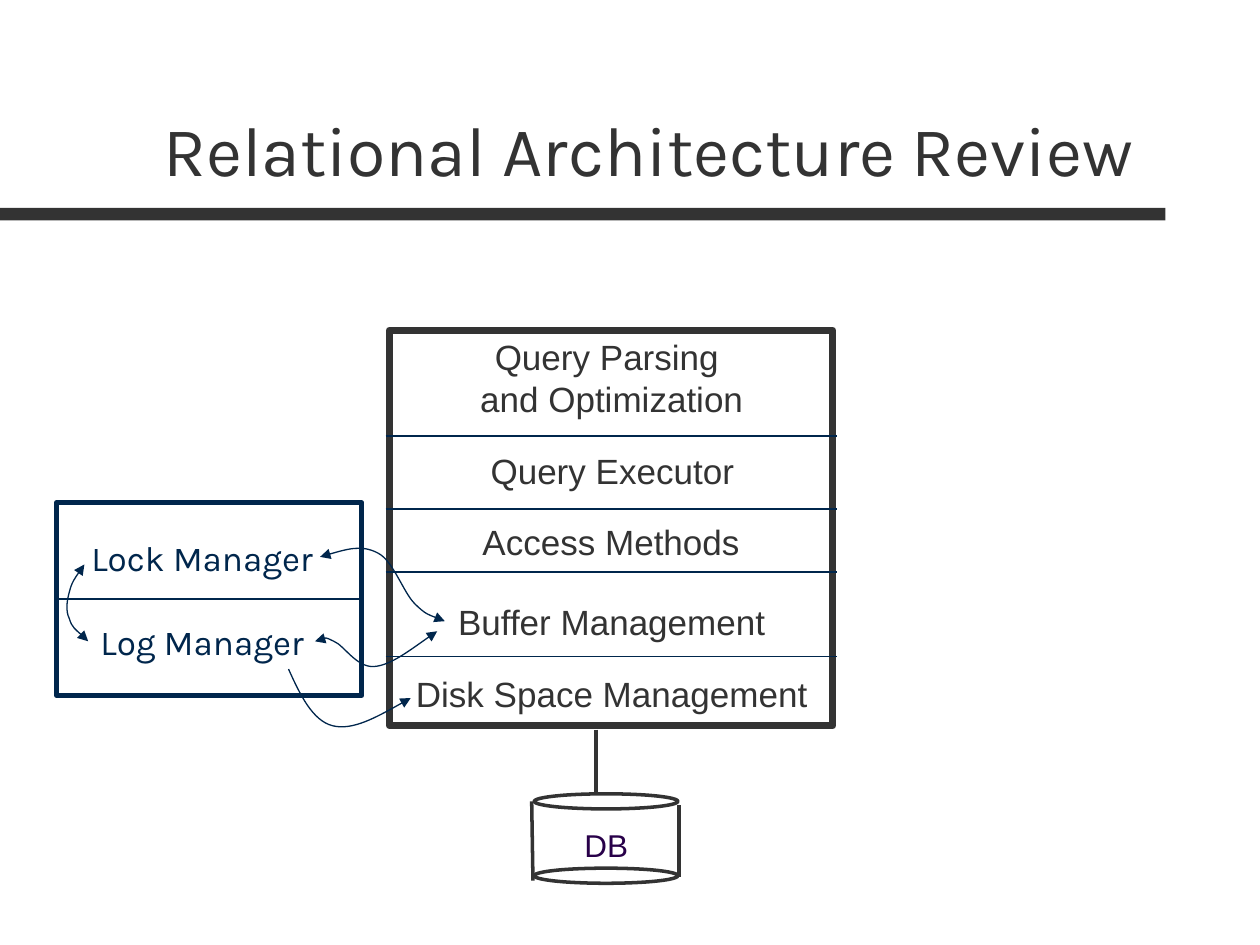
from typing import NamedTuple

from lxml.etree import SubElement
from pptx import Presentation
from pptx.dml.color import RGBColor
from pptx.enum.shapes import MSO_CONNECTOR, MSO_SHAPE
from pptx.enum.text import MSO_ANCHOR, PP_ALIGN
from pptx.oxml.ns import qn
from pptx.util import Inches, Pt

GRAY = RGBColor(0x33, 0x33, 0x33)
NAVY = RGBColor(0x00, 0x26, 0x4C)
PLUM = RGBColor(0x28, 0x00, 0x49)

Point = tuple[float, float]


class Box(NamedTuple):
    left: float
    top: float
    width: float
    height: float


class Label(NamedTuple):
    lines: list[str]
    box: Box
    size: int = 20
    font: str = "Arial"
    color: RGBColor = GRAY
    align: PP_ALIGN = PP_ALIGN.CENTER
    anchor: MSO_ANCHOR = MSO_ANCHOR.TOP
    wrap: bool = False
    gap: int = 0


class Curve(NamedTuple):
    """A start point, then three points for each Bezier segment."""
    points: list[Point]
    both: bool = True


LAYERS = [
    Label(["Query Parsing \nand Optimization"], Box(3.71, 2.61, 2.29, 0.77)),
    Label(["Query Executor"], Box(3.79, 3.52, 2.14, 0.43)),
    Label(["Access Methods"], Box(3.73, 4.08, 2.24, 0.43)),
    Label(["Buffer Management"], Box(3.53, 4.72, 2.65, 0.43)),
    Label(["Disk Space Management"], Box(3.2, 5.29, 3.31, 0.43)),
]
SPLITS = [3.46, 4.04, 4.54, 5.21]
TITLE = Label(["Relational Architecture Review"], Box(1.2, 0.31, 8.5, 1.25), 40, "Karla",
              align=PP_ALIGN.LEFT, anchor=MSO_ANCHOR.BOTTOM, wrap=True)
STORE = Label(["DB"], Box(4.54, 6.51, 0.55, 0.4), 18, color=PLUM, align=PP_ALIGN.LEFT)
MANAGERS = Label(["Lock Manager", "Log Manager"], Box(0.58, 4.21, 2.05, 1.1), 20, "Karla",
                 NAVY, gap=24)
CURVES = [
    # Lock manager and buffer
    Curve([(3.53, 4.93), (3.46, 4.9), (3.38, 4.88), (3.29, 4.79), (3.2, 4.7),
           (3.12, 4.45), (3, 4.39), (2.87, 4.32), (2.71, 4.37), (2.54, 4.42)]),
    # Log manager and buffer
    Curve([(3.47, 5.01), (3.28, 5.14), (3.1, 5.28), (2.97, 5.29), (2.83, 5.3),
           (2.73, 5.12), (2.65, 5.09), (2.57, 5.05), (2.53, 5.07), (2.5, 5.09)]),
    # Lock manager and log manager
    Curve([(0.67, 4.48), (0.62, 4.55), (0.57, 4.62), (0.55, 4.7), (0.53, 4.77),
           (0.52, 4.85), (0.55, 4.91), (0.57, 4.98), (0.64, 5.03), (0.7, 5.09)]),
    # Log manager to disk
    Curve([(2.29, 5.31), (2.38, 5.51), (2.48, 5.72), (2.64, 5.76), (2.8, 5.8),
           (3.03, 5.67), (3.26, 5.54)], both=False),
]


def add_label(shapes, label: Label):
    item = shapes.add_textbox(*map(Inches, label.box))
    frame = item.text_frame
    frame.word_wrap = label.wrap
    frame.vertical_anchor = label.anchor
    for i, line in enumerate(label.lines):
        para = frame.add_paragraph() if i else frame.paragraphs[0]
        para.text = line
        para.alignment = label.align
        if i:
            para.space_before = Pt(label.gap)
        para.font.size = Pt(label.size)
        para.font.name = label.font
        para.font.color.rgb = label.color
    return item


def add_frame(shapes, kind: MSO_SHAPE, box: Box, color: RGBColor, width: float):
    item = shapes.add_shape(kind, *map(Inches, box))
    item.shadow.inherit = False
    item.fill.background()
    item.line.color.rgb = color
    item.line.width = Pt(width)
    return item


def add_line(shapes, start: Point, end: Point, color: RGBColor, width: float):
    item = shapes.add_connector(MSO_CONNECTOR.STRAIGHT, *map(Inches, start + end))
    item.line.color.rgb = color
    item.line.width = Pt(width)
    SubElement(item._element.spPr, qn("a:effectLst"))
    return item


def add_curve(shapes, curve: Curve):
    start, *rest = [(Inches(x), Inches(y)) for x, y in curve.points]
    pen = shapes.build_freeform(*start)
    pen.add_line_segments(rest, close=False)
    item = pen.convert_to_shape()
    item.shadow.inherit = False
    item.fill.background()
    item.line.color.rgb = NAVY
    item.line.width = Pt(0.75)
    # Turn each three line steps into one Bezier segment
    steps = list(item._element.iter(qn("a:lnTo")))
    trace = steps[0].getparent()
    for i in range(0, len(steps), 3):
        bend = SubElement(trace, qn("a:cubicBezTo"))
        for step in steps[i:i + 3]:
            bend.append(step[0])
            trace.remove(step)
    # Arrowheads
    ends = ["a:headEnd", "a:tailEnd"] if curve.both else ["a:tailEnd"]
    for end in ends:
        SubElement(item.line._get_or_add_ln(), qn(end), type="triangle")
    return item


def main() -> None:
    deck = Presentation()
    deck.slide_width, deck.slide_height = Inches(10), Inches(7.5)
    shapes = deck.slides.add_slide(deck.slide_layouts[6]).shapes

    # Title and its bar
    bar = shapes.add_shape(MSO_SHAPE.RECTANGLE, *map(Inches, Box(0, 1.65, 9.25, 0.1)))
    bar.shadow.inherit = False
    bar.fill.solid()
    bar.fill.fore_color.rgb = GRAY
    bar.line.fill.background()
    add_label(shapes, TITLE)

    # Layer stack
    for layer in LAYERS:
        add_label(shapes, layer)
    add_frame(shapes, MSO_SHAPE.RECTANGLE, Box(3.09, 2.62, 3.52, 3.14), GRAY, 4)
    for y in SPLITS:
        add_line(shapes, (3.06, y), (6.64, y), NAVY, 1)

    # Database drum
    for y in (6.3, 6.89):
        add_frame(shapes, MSO_SHAPE.OVAL, Box(4.24, y, 1.14, 0.12), GRAY, 2)
    add_line(shapes, (4.22, 6.36), (4.23, 6.99), GRAY, 2)
    add_line(shapes, (5.39, 6.39), (5.39, 6.96), GRAY, 2)
    add_label(shapes, STORE)
    add_line(shapes, (4.73, 5.79), (4.73, 6.29), GRAY, 2)

    # Lock and log managers
    group = shapes.add_group_shape().shapes
    panel = add_frame(group, MSO_SHAPE.RECTANGLE, Box(0.45, 3.99, 2.42, 1.53), NAVY, 3)
    split = add_line(group, (0.45, 4.76), (2.87, 4.76), NAVY, 0.75)
    split.begin_connect(panel, 1)
    split.end_connect(panel, 3)
    add_label(group, MANAGERS)

    # Links between the parts
    for curve in CURVES:
        add_curve(shapes, curve)

    deck.save("out.pptx")


if __name__ == "__main__":
    main()
